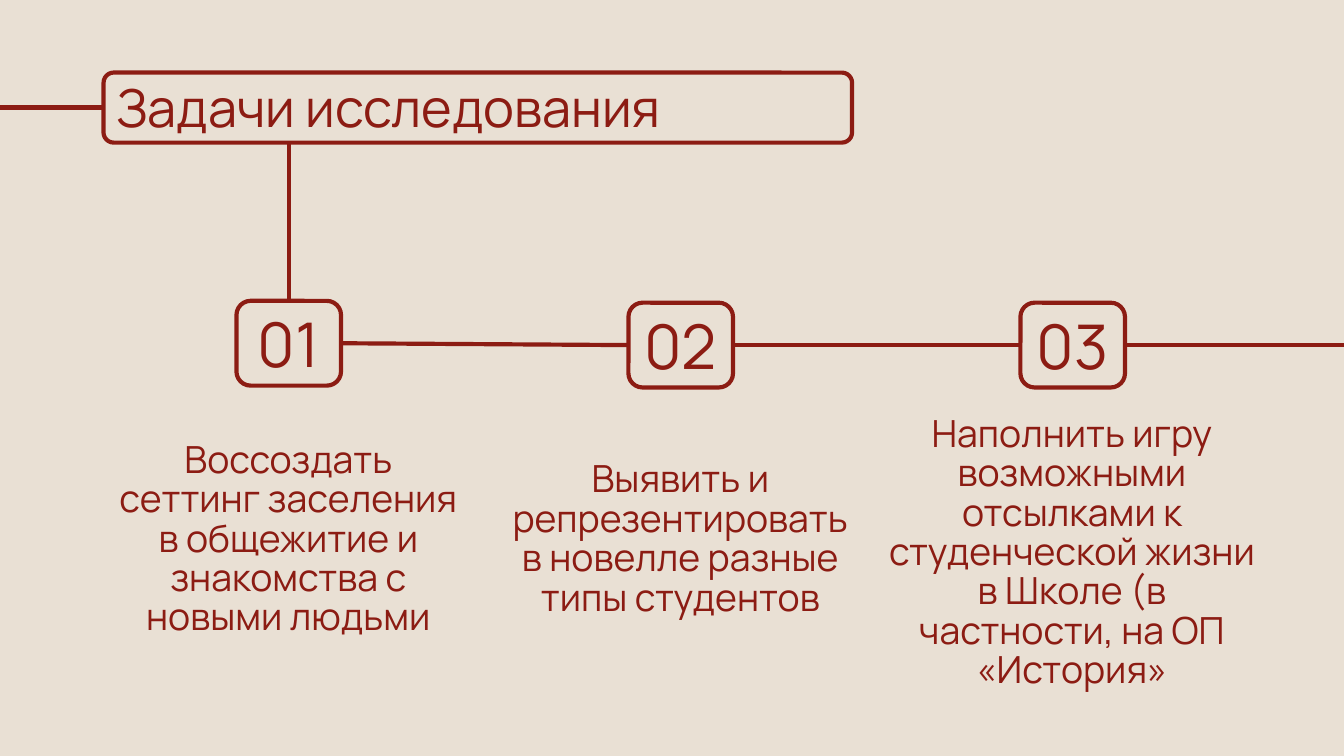
import pptx
import pptx.util
import pptx.dml.color
import pptx.enum.shapes
import pptx.enum.text
import pptx.oxml.ns
import lxml.etree

Pt = pptx.util.Pt
SHAPE = pptx.enum.shapes.MSO_SHAPE
ALIGN = pptx.enum.text.PP_ALIGN
RED = "8C1C13"
SAND = "E9E0D4"
TOP, LEFT, BOTTOM, RIGHT = range(4)


def paint(color, code):
    color.rgb = pptx.dml.color.RGBColor.from_string(code)


class Deck:
    font = "Manrope"
    width = 2.25

    def __init__(self, wide, high):
        self.file = pptx.Presentation()
        self.file.slide_width = Pt(wide)
        self.file.slide_height = Pt(high)
        self.slide = self.file.slides.add_slide(self.file.slide_layouts[6])
        fill = self.slide.background.fill
        fill.solid()
        paint(fill.fore_color, SAND)

    def frame(self, x, y, w, h, round_by):
        box = self.slide.shapes.add_shape(
            SHAPE.ROUNDED_RECTANGLE, Pt(x), Pt(y), Pt(w), Pt(h))
        box.adjustments[0] = round_by
        box.shadow.inherit = False
        box.fill.background()
        paint(box.line.color, RED)
        box.line.width = Pt(self.width)
        return box

    def text(self, words, x, y, w, h, size, align=ALIGN.CENTER, space=None):
        box = self.slide.shapes.add_textbox(Pt(x), Pt(y), Pt(w), Pt(h))
        body = box.text_frame
        body.word_wrap = True
        body.vertical_anchor = pptx.enum.text.MSO_ANCHOR.MIDDLE
        body.margin_left = body.margin_right = Pt(7.2)
        body.margin_top = body.margin_bottom = Pt(7.2)
        body.text = words
        para = body.paragraphs[0]
        para.alignment = align
        para.line_spacing = space
        para.font.name = self.font
        para.font.size = Pt(size)
        paint(para.font.color, RED)

    def line(self, x1, y1, x2, y2, start=None, end=None):
        link = self.slide.shapes.add_connector(
            pptx.enum.shapes.MSO_CONNECTOR.STRAIGHT,
            Pt(x1), Pt(y1), Pt(x2), Pt(y2))
        paint(link.line.color, RED)
        link.line.width = Pt(self.width)
        lxml.etree.SubElement(link._element.spPr,
                              pptx.oxml.ns.qn("a:effectLst"))
        if start:
            link.begin_connect(*start)
        if end:
            link.end_connect(*end)


def main():
    deck = Deck(720, 405)

    # Title
    title = deck.frame(55.5, 38.9, 401, 37.5, 0.145)
    deck.text("Задачи исследования", 55.5, 41, 401, 32.5, 28, ALIGN.LEFT)

    # Steps: number top, text left, text top, text width, words
    steps = [
        (161.2, 55.5, 215.3, 198,
         "Воссоздать сеттинг заселения в общежитие и знакомства с новыми людьми"),
        (162.2, 265.5, 215.3, 198,
         "Выявить и репрезентировать в новелле разные типы студентов"),
        (162.2, 465.6, 222.5, 217.4,
         "Наполнить игру возможными отсылками к студенческой жизни "
         "в Школе (в частности, на ОП «История»"),
    ]
    wide, high, gap = 56, 45.4, 210
    boxes = []
    for i, (top, left, below, span, words) in enumerate(steps):
        x = 126.7 + gap * i
        boxes.append(deck.frame(x, top, wide, high, 0.167))
        deck.text(f"{i + 1:02}", x - 3.6, top + 3.6, 63.2, 38.2, 33)
        deck.text(words, left, below, span, 148.3, 20, space=0.88)

    # Lines
    mid = 162.2 + high / 2
    deck.line(0, 57.65, 55.5, 57.65, end=(title, LEFT))
    deck.line(154.7, 161.2, 154.7, 76.4, start=(boxes[0], TOP))
    for a, b in zip(boxes, boxes[1:]):
        deck.line(0, mid, gap, mid, (a, RIGHT), (b, LEFT))
    deck.line(602.7, mid, 720, mid, start=(boxes[-1], RIGHT))

    deck.file.save("out.pptx")


if __name__ == "__main__":
    main()
